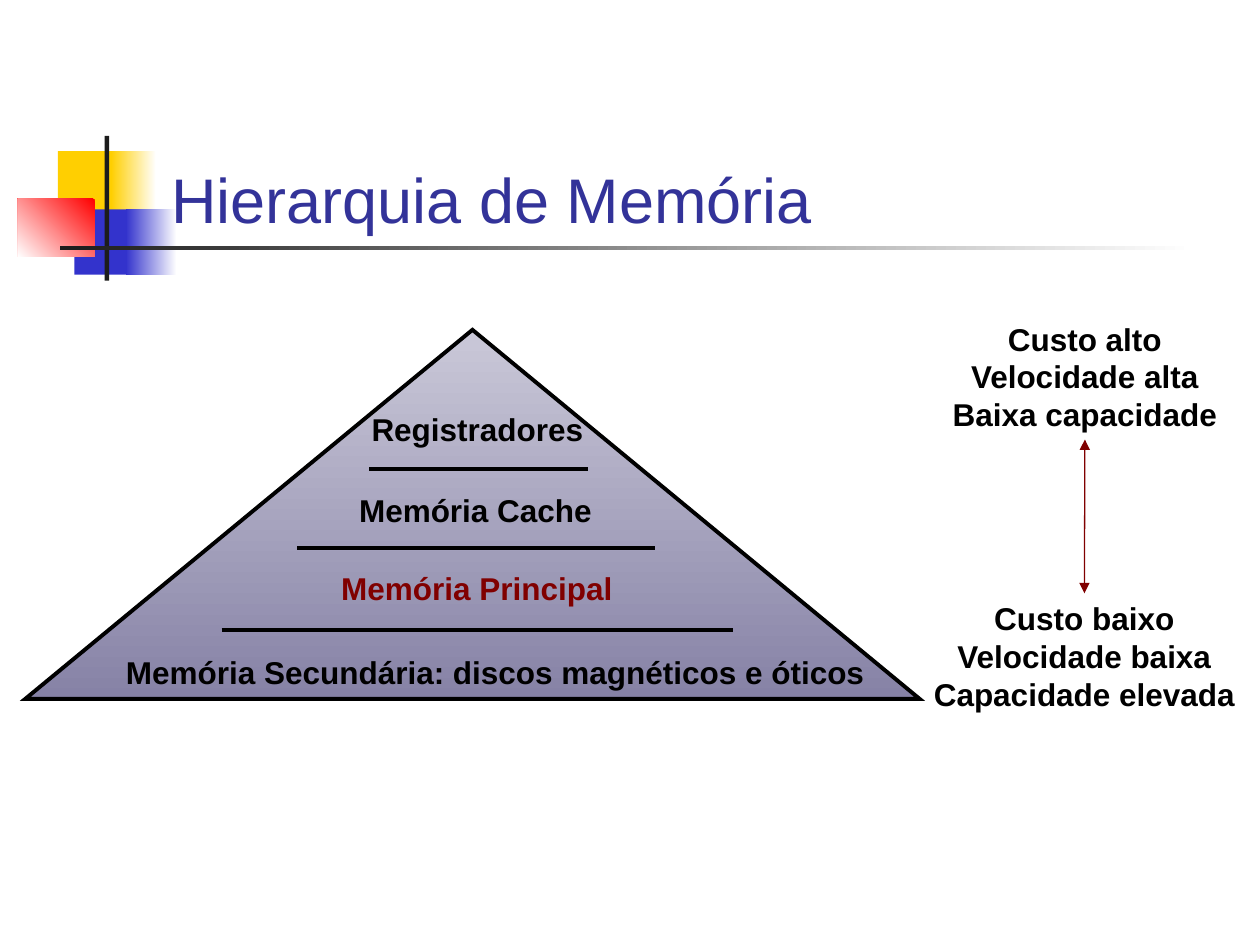
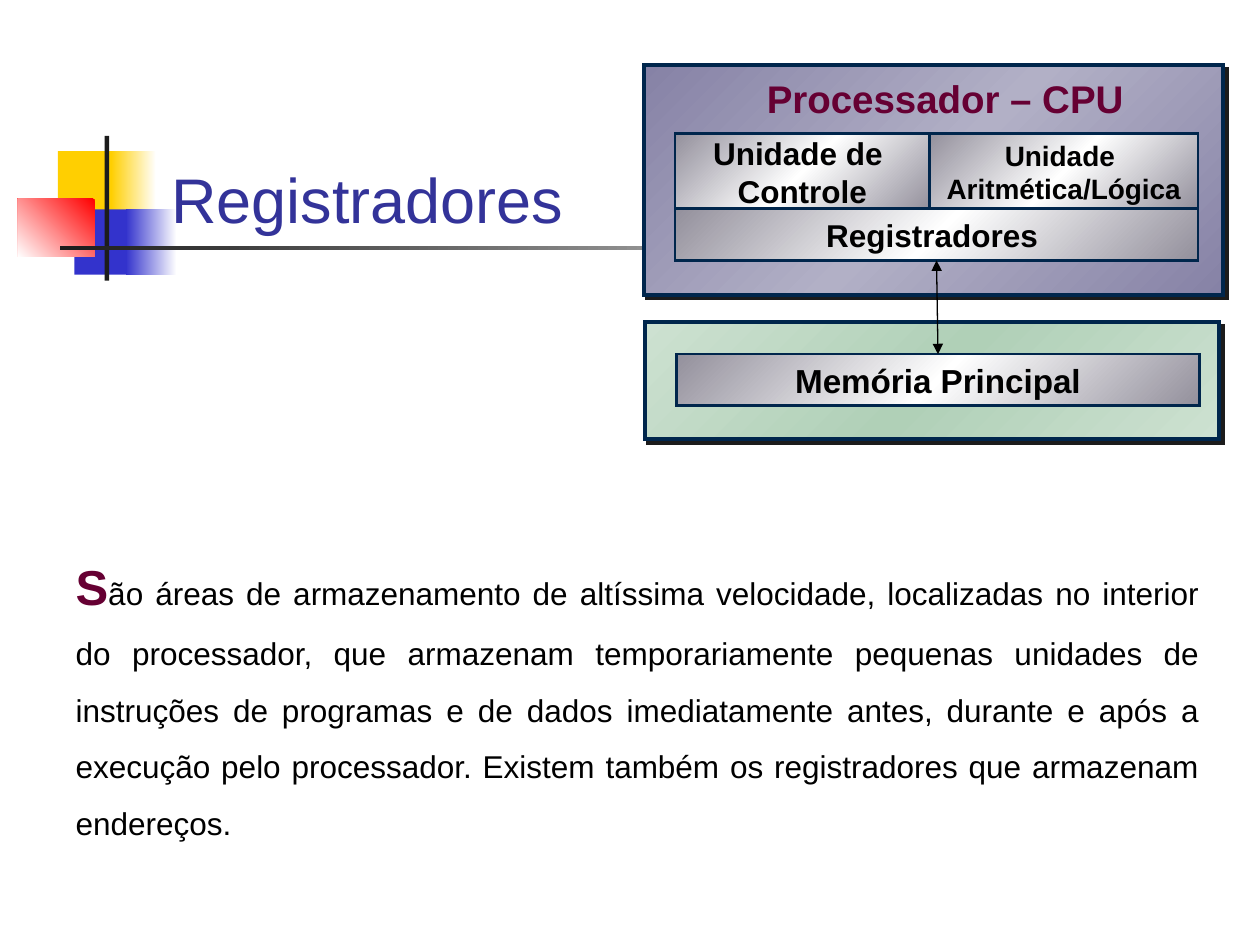
"""Build two slides on memory hierarchy and processor registers."""
from lxml.etree import SubElement
from pptx import Presentation
from pptx.dml.color import RGBColor
from pptx.enum.shapes import MSO_CONNECTOR, MSO_SHAPE
from pptx.enum.text import MSO_ANCHOR, MSO_AUTO_SIZE, PP_ALIGN
from pptx.oxml import parse_xml
from pptx.oxml.ns import nsdecls, qn
from pptx.util import Cm, Pt

WHITE = RGBColor(0xFF, 0xFF, 0xFF)
BLACK = RGBColor(0x00, 0x00, 0x00)
CHARCOAL = RGBColor(0x1C, 0x1C, 0x1C)
YELLOW = RGBColor(0xFF, 0xCF, 0x01)
BLUE = RGBColor(0x33, 0x33, 0xCC)
RED = RGBColor(0xFF, 0x00, 0x00)
TITLE_BLUE = RGBColor(0x33, 0x33, 0x99)
MAROON = RGBColor(0x80, 0x00, 0x00)
WINE = RGBColor(0x66, 0x00, 0x33)
NAVY = RGBColor(0x00, 0x26, 0x4C)
LILAC = RGBColor(0xCA, 0xC8, 0xD8)
MID_LILAC = RGBColor(0xB2, 0xB0, 0xC6)
PURPLE = RGBColor(0x86, 0x82, 0xA6)
PALE_GREEN = RGBColor(0xCD, 0xE1, 0xD1)
GREEN = RGBColor(0xB0, 0xD0, 0xB7)
STEEL = RGBColor(0x93, 0x90, 0x9C)
FONT = "Arial"


def add_block(slide, box, colors, angle=0, outline=None, width=0, kind=MSO_SHAPE.RECTANGLE):
    """Add a shape with a solid fill or evenly spaced gradient."""
    block = slide.shapes.add_shape(kind, *map(Cm, box))
    block.shadow.inherit = False
    properties = block.element.spPr
    if len(colors) == 1:
        block.fill.solid()
        block.fill.fore_color.rgb = colors[0]
    else:
        block.fill.background()
        stops = "".join(
            f'<a:gs pos="{100000 * i // (len(colors) - 1)}"><a:srgbClr val="{color}"/></a:gs>'
            for i, color in enumerate(colors))
        properties.replace(properties.find(qn("a:noFill")), parse_xml(
            f'<a:gradFill {nsdecls("a")} rotWithShape="1"><a:gsLst>{stops}</a:gsLst>'
            f'<a:lin ang="{angle * 60000}" scaled="0"/></a:gradFill>'))
    if outline is None:
        block.line.fill.background()
    else:
        block.line.color.rgb = outline
        block.line.width = Pt(width)
        SubElement(properties.find(qn("a:ln")), qn("a:miter"), lim="800000")
    return block


def write(shape, text, size, color=BLACK, bold=True, align=PP_ALIGN.CENTER):
    """Set and format the text of a shape, one paragraph per line."""
    frame = shape.text_frame
    frame.text = text
    frame.word_wrap = shape.is_placeholder
    for paragraph in frame.paragraphs:
        paragraph.alignment = align
        for run in paragraph.runs:
            run.font.name = FONT
            run.font.size = Pt(size)
            run.font.bold = bold
            run.font.color.rgb = color
    return shape


prs = Presentation()
prs.slide_width, prs.slide_height = Cm(25.4), Cm(19.05)
master = prs.slide_master
hierarchy = prs.slides.add_slide(prs.slide_layouts[5])
registers = prs.slides.add_slide(prs.slide_layouts[1])

ornaments = [
    ((1.17, 3.05, 1.22, 1.32), [YELLOW], 0),
    ((2.24, 3.05, 0.91, 1.32), [WHITE, YELLOW], 180),
    ((1.5, 4.22, 1.17, 1.32), [BLUE], 0),
    ((2.54, 4.22, 1.02, 1.32), [WHITE, BLUE], 180),
    ((0.36, 4.01, 1.55, 1.17), [RED, WHITE], 135),
    ((2.11, 2.74, 0.09, 2.92), [CHARCOAL], 0),
    ((1.22, 4.95, 22.86, 0.09), [WHITE, CHARCOAL], 180),
]
for number, (box, colors, angle) in enumerate(ornaments, 20):
    ornament = add_block(hierarchy, box, colors, angle).element
    ornament.nvSpPr.cNvPr.set("id", str(number))
    master.shapes.element.append(ornament)

for slide, heading in ((hierarchy, "Hierarquia de Memória"), (registers, "Registradores")):
    title = write(slide.shapes.title, heading, 36, TITLE_BLUE, False, PP_ALIGN.LEFT)
    title.left, title.top, title.width, title.height = map(Cm, (3.2, 1.7, 21.64, 3.18))
    title.text_frame.vertical_anchor = MSO_ANCHOR.BOTTOM
    title.text_frame.auto_size = MSO_AUTO_SIZE.NONE

add_block(hierarchy, (0.51, 6.65, 18.03, 7.44), [LILAC, PURPLE], 90, BLACK, 2.25,
          MSO_SHAPE.ISOSCELES_TRIANGLE)
lines = []
for start, end, y in ((7.44, 11.86, 9.45), (5.99, 13.21, 11.05), (4.47, 14.78, 12.7)):
    divider = hierarchy.shapes.add_connector(
        MSO_CONNECTOR.STRAIGHT, Cm(start), Cm(y), Cm(end), Cm(y))
    lines.append((divider, BLACK, 2.25, False))

levels = [
    ("Registradores", 7.24, 8.15, 4.78, BLACK),
    ("Memória Cache", 6.99, 9.78, 5.21, BLACK),
    ("Memória Principal", 6.63, 11.35, 5.97, MAROON),
    ("Memória Secundária: discos magnéticos e óticos", 2.29, 13.03, 15.5, BLACK),
]
for text, left, top, width, color in levels:
    level = hierarchy.shapes.add_textbox(Cm(left), Cm(top), Cm(width), Cm(1.02))
    write(level, text, 18, color, align=PP_ALIGN.LEFT)
    level.text_frame.auto_size = MSO_AUTO_SIZE.SHAPE_TO_FIT_TEXT

top_traits = hierarchy.shapes.add_textbox(Cm(18.95), Cm(6.32), Cm(5.84), Cm(2.54))
write(top_traits, "Custo alto\nVelocidade alta\nBaixa capacidade", 18)
base_traits = hierarchy.shapes.add_textbox(Cm(18.57), Cm(11.96), Cm(6.58), Cm(2.54))
write(base_traits, "Custo baixo\nVelocidade baixa\nCapacidade elevada", 18)

definition = registers.placeholders[1]
definition.left, definition.top, definition.width, definition.height = map(
    Cm, (1.27, 10.49, 23.16, 8.31))
write(definition, "S", 28, WINE, align=PP_ALIGN.JUSTIFY)
definition.text_frame.auto_size = MSO_AUTO_SIZE.NONE
sentence = definition.text_frame.paragraphs[0]
sentence.line_spacing = 1.5
sentence.space_before = Pt(0)
indents = sentence._p.get_or_add_pPr()
indents.set("marL", "0")
indents.set("indent", "0")
SubElement(indents, qn("a:buNone"))
rest = sentence.add_run()
rest.text = (
    "ão áreas de armazenamento de altíssima velocidade, localizadas no interior do "
    "processador, que armazenam temporariamente pequenas unidades de instruções de "
    "programas e de dados imediatamente antes, durante e após a execução pelo "
    "processador. Existem também os registradores que armazenam endereços.")
rest.font.name = FONT
rest.font.size = Pt(18)
rest.font.bold = False
rest.font.color.rgb = BLACK

panels = [
    ((13, 6.5, 11.58, 2.36), [PALE_GREEN, GREEN, PALE_GREEN]),
    ((12.98, 1.32, 11.68, 4.62), [PURPLE, MID_LILAC, PURPLE]),
]
for box, colors in panels:
    panel = add_block(registers, box, colors, 225, NAVY, 2.25)
    panel.element.spPr.find(qn("a:effectLst")).append(parse_xml(
        f'<a:outerShdw {nsdecls("a")} dist="{Pt(2.8)}" dir="2700000" algn="ctr" '
        f'rotWithShape="0"><a:srgbClr val="{CHARCOAL}"/></a:outerShdw>'))

units = [
    ("Unidade de \nControle", (13.61, 2.69, 5.13, 1.55), 18),
    ("Unidade \nAritmética/Lógica", (18.74, 2.69, 5.41, 1.55), 16),
    ("Registradores ", (13.61, 4.21, 10.54, 1.04), 18),
    ("Memória Principal", (13.64, 7.14, 10.54, 1.04), 19),
]
blocks = []
for text, box, size in units:
    unit = add_block(registers, box, [STEEL, WHITE, STEEL], 225, NAVY, 1.5)
    unit.text_frame.vertical_anchor = MSO_ANCHOR.MIDDLE
    blocks.append(write(unit, text, size))
register_bank, main_memory = blocks[2:]

cpu = registers.shapes.add_textbox(Cm(15.21), Cm(1.39), Cm(7.7), Cm(1.19))
write(cpu, "Processador – CPU", 22, WINE, align=PP_ALIGN.LEFT)

for slide, upper, lower, color in (
        (hierarchy, top_traits, base_traits, MAROON),
        (registers, register_bank, main_memory, BLACK)):
    arrow = slide.shapes.add_connector(MSO_CONNECTOR.STRAIGHT, 0, 0, 0, 0)
    arrow.begin_connect(upper, 2)
    arrow.end_connect(lower, 0)
    lines.append((arrow, color, 0.75, True))

for line, color, width, has_heads in lines:
    line.line.color.rgb = color
    line.line.width = Pt(width)
    properties = line.element.spPr
    if has_heads:
        for end in ("a:headEnd", "a:tailEnd"):
            SubElement(properties.find(qn("a:ln")), qn(end), type="triangle")
    SubElement(properties, qn("a:effectLst"))

prs.save("out.pptx")
